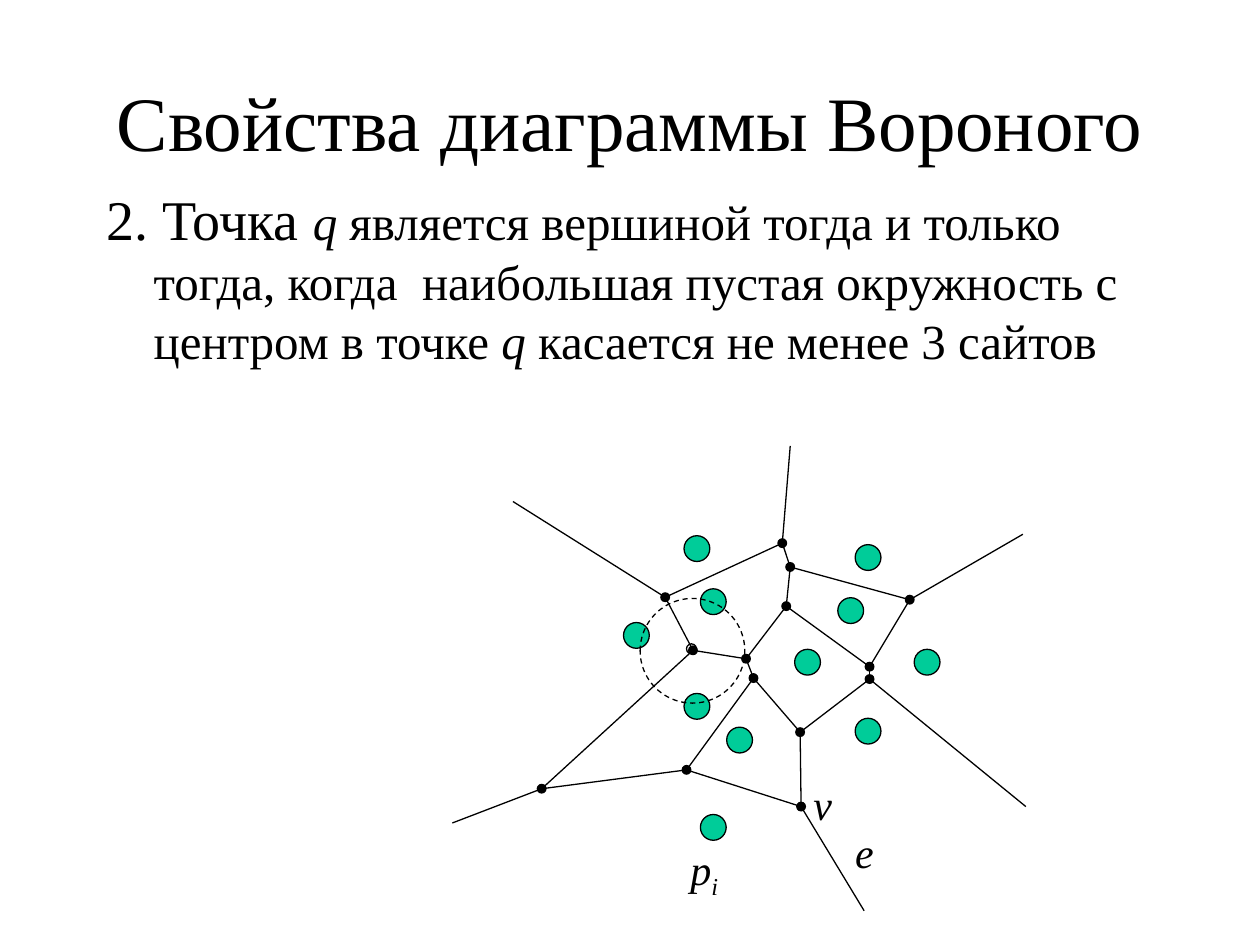
"""Build a slide on the vertices of a Voronoi diagram."""
from lxml import etree
from pptx import Presentation
from pptx.dml.color import RGBColor
from pptx.enum.dml import MSO_LINE
from pptx.enum.shapes import MSO_CONNECTOR, MSO_SHAPE
from pptx.enum.text import MSO_ANCHOR, PP_ALIGN
from pptx.oxml.ns import qn
from pptx.util import Cm, Pt

OVAL = MSO_SHAPE.OVAL
STRAIGHT = MSO_CONNECTOR.STRAIGHT
DASH = MSO_LINE.DASH
MIDDLE = MSO_ANCHOR.MIDDLE
CENTER = PP_ALIGN.CENTER
FONT = "Times New Roman"
COLORS = {"ink": "000000", "site": "00CC99"}
INK = RGBColor.from_string(COLORS["ink"])
LINE_WIDTH = Pt(0.75)

VERTICES = {
    "v": (16.15, 16.26), "bottom": (13.84, 15.52), "southwest": (10.92, 15.9),
    "q": (13.97, 13.11), "center": (15.04, 13.28), "below_center": (15.19, 13.67),
    "south": (16.13, 14.76), "east_low": (17.53, 13.69), "east_high": (17.53, 13.44),
    "inner": (15.85, 12.22), "north_low": (15.93, 11.43), "north": (15.77, 10.95),
    "northwest": (13.41, 12.04), "northeast": (18.34, 12.09),
}
EDGES = [
    ("north_low", "north"), ("center", "below_center"), ("center", "inner"),
    ("south", "east_low"), ("east_low", "east_high"), ("northwest", "q"),
    ("q", "southwest"), ("southwest", "bottom"), ("bottom", "below_center"),
    ("q", "center"), ("inner", "east_high"), ("below_center", "south"),
    ("bottom", "v"), ("v", "south"), ("inner", "north_low"),
    ("northwest", "north"), ("north_low", "northeast"), ("east_high", "northeast"),
]
RAYS = {
    "northwest": (10.34, 10.11), "southwest": (9.12, 16.59), "v": (17.42, 18.36),
    "east_low": (20.68, 16.26), "northeast": (20.62, 10.77), "north": (15.93, 8.99),
}
SITES = [
    (14.38, 16.68), (14.91, 14.92), (16.28, 13.35), (17.5, 14.74),
    (18.69, 13.35), (17.15, 12.31), (17.5, 11.24), (14.05, 14.24),
    (12.83, 12.81), (14.38, 12.13), (14.05, 11.06),
]
STATEMENT = [
    ("2. Точка ", 32, False),
    ("q ", 28, True),
    ("является вершиной тогда и только тогда, когда  наибольшая пустая "
     "окружность с центром в точке ", 28, False),
    ("q ", 28, True),
    ("касается не менее 3 сайтов", 28, False),
]
LABELS = [("e", "", 16.99, 16.54, 0.89), ("v", "", 16.15, 15.57, 0.89),
          ("p", "i", 13.67, 16.87, 1.09)]

presentation = Presentation()
presentation.slide_width = Cm(25.4)
presentation.slide_height = Cm(19.05)
slide = presentation.slides.add_slide(presentation.slide_layouts[5])
shapes = slide.shapes


def add_circle(center, diameter, fill=None, outlined=True):
    x, y = center
    circle = shapes.add_shape(OVAL, Cm(x - diameter / 2), Cm(y - diameter / 2),
                              Cm(diameter), Cm(diameter))
    circle.shadow.inherit = False
    if fill:
        circle.fill.solid()
        circle.fill.fore_color.rgb = RGBColor.from_string(COLORS[fill])
    else:
        circle.fill.background()
    if outlined:
        circle.line.color.rgb = INK
        circle.line.width = LINE_WIDTH
    else:
        circle.line.fill.background()
    return circle


title = shapes.title
title.left, title.top, title.width, title.height = Cm(1.9), Cm(0.85), Cm(21.6), Cm(3.18)
title.text_frame.text = "Свойства диаграммы Вороного"
title.text_frame.vertical_anchor = MIDDLE
paragraph = title.text_frame.paragraphs[0]
paragraph.alignment = CENTER
paragraph.font.name = FONT
paragraph.font.size = Pt(44)
paragraph.font.color.rgb = INK

statement = shapes.add_textbox(Cm(1.9), Cm(3.6), Cm(21.6), Cm(11.43))
statement.text_frame.word_wrap = True
paragraph = statement.text_frame.paragraphs[0]
paragraph.space_before = Pt(6)
paragraph.font.name = FONT
paragraph.font.color.rgb = INK
properties = paragraph._p.get_or_add_pPr()
properties.set("marL", str(Cm(0.95)))
properties.set("indent", str(Cm(-0.95)))
for text, size, italic in STATEMENT:
    run = paragraph.add_run()
    run.text = text
    run.font.size = Pt(size)
    run.font.italic = italic

segments = [(VERTICES[start], VERTICES[end]) for start, end in EDGES]
segments += [(VERTICES[start], end) for start, end in RAYS.items()]
for (start_x, start_y), (end_x, end_y) in segments:
    edge = shapes.add_connector(STRAIGHT, Cm(start_x), Cm(start_y), Cm(end_x), Cm(end_y))
    edge.line.color.rgb = INK
    edge.line.width = LINE_WIDTH
    etree.SubElement(edge._element.spPr, qn("a:effectLst"))

for vertex in VERTICES.values():
    add_circle(vertex, 0.2, "ink", outlined=False)
for site in SITES:
    add_circle(site, 0.52, "site")

for letter, subscript, left, top, width in LABELS:
    label = shapes.add_textbox(Cm(left), Cm(top), Cm(width), Cm(1.27))
    label.text_frame.word_wrap = False
    paragraph = label.text_frame.paragraphs[0]
    paragraph.font.name = FONT
    paragraph.font.size = Pt(24)
    paragraph.font.italic = True
    paragraph.font.color.rgb = INK
    paragraph.add_run().text = letter
    if subscript:
        run = paragraph.add_run()
        run.text = subscript
        run._r.get_or_add_rPr().set("baseline", "-25000")

add_circle((13.94, 13.08), 0.2)
empty_circle = add_circle((13.96, 13.12), 2.11)
empty_circle.line.dash_style = DASH

presentation.save("out.pptx")
